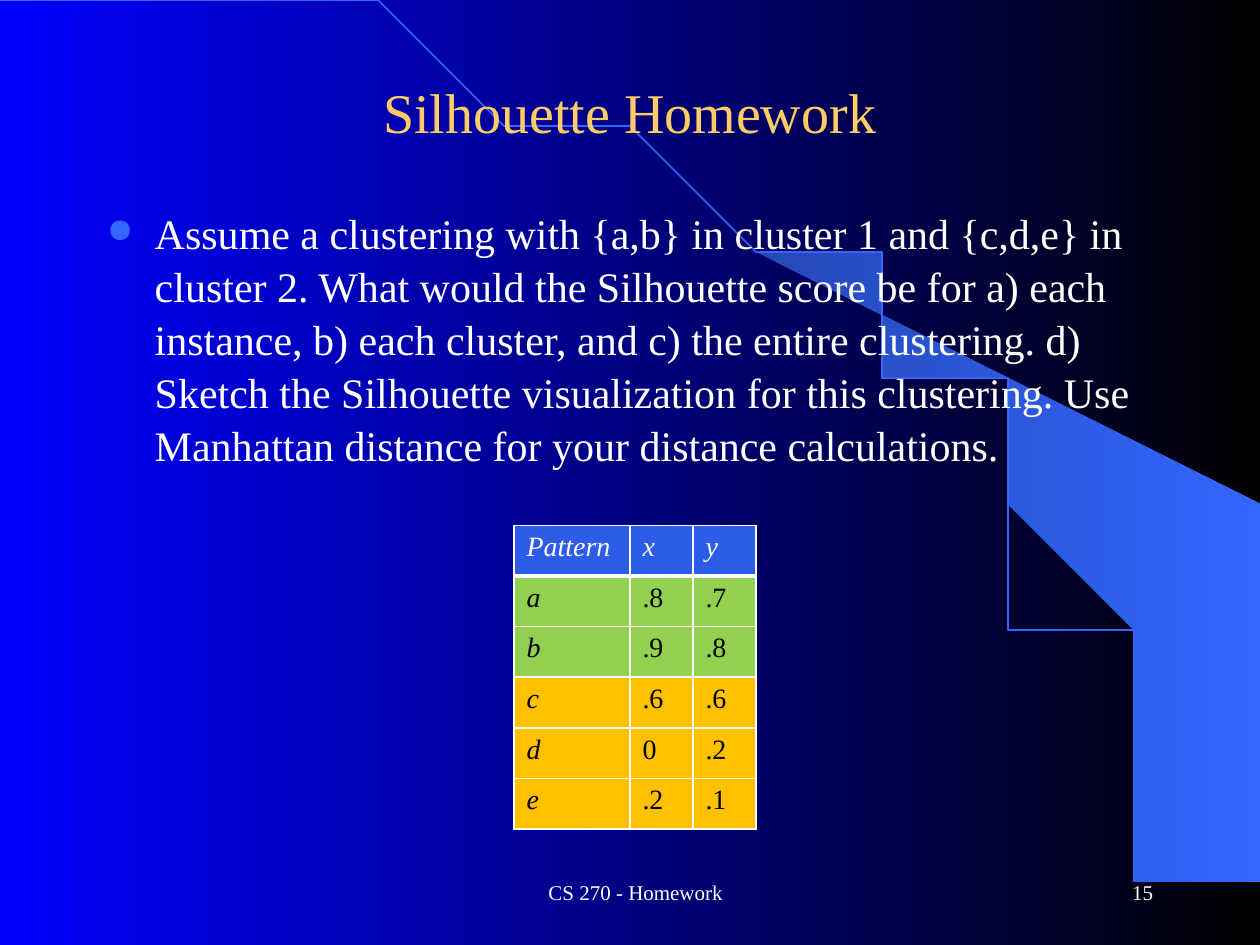
"""Build the Silhouette Homework slide."""
import math
from lxml import etree
from pptx import Presentation
from pptx.dml.color import RGBColor
from pptx.enum.text import MSO_ANCHOR, PP_ALIGN
from pptx.oxml.ns import qn
from pptx.util import Inches, Pt

LEFT, CENTER, RIGHT = PP_ALIGN.LEFT, PP_ALIGN.CENTER, PP_ALIGN.RIGHT
TOP, MIDDLE = MSO_ANCHOR.TOP, MSO_ANCHOR.MIDDLE
FONT = "Times New Roman"
WHITE, BLACK, BLUE = "FFFFFF", "000000", "3366FF"
HEADER, GREEN, AMBER = "2D5CE7", "92D050", "FFC000"


def rgb(value):
    return RGBColor.from_string(value)


def set_text(tf, text, size, color, align=LEFT, italic=False):
    p = tf.paragraphs[0]
    p.text = text
    p.alignment = align
    font = p.runs[0].font
    font.name, font.size, font.italic = FONT, Pt(size), italic
    font.color.rgb = rgb(color)
    return p


prs = Presentation()
prs.slide_width, prs.slide_height = Inches(10), Inches(7.5)
s = prs.slides.add_slide(prs.slide_layouts[6])

beam = [(9.2, 7.48), (9.99, 7.49), (9.99, 4.23), (5.89, 1.73), (6.24, 1.99),
        (6.53, 2.22), (6.85, 2.5), (7.16, 2.8), (7.62, 3.3), (8.03, 3.84),
        (8.32, 4.31), (8.58, 4.79), (8.78, 5.28), (8.93, 5.72), (9.03, 6.09),
        (9.13, 6.56), (9.17, 6.96)]
angles = [math.radians(1.5 * i) for i in range(61)]
arc = [(9.2 * math.sin(a), 7.49 * (1 - math.cos(a))) for a in angles]
outlines = []
for points, close in [(beam, True), (arc, False)]:
    fb = s.shapes.build_freeform(*points[0], scale=Inches(1))
    fb.add_line_segments(points[1:], close=close)
    sp = fb.convert_to_shape()
    sp.shadow.inherit = False
    outlines.append(sp)
beam_sp, arc_sp = outlines
beam_sp.line.fill.background()
arc_sp.fill.background()
arc_sp.line.color.rgb = rgb(BLUE)
arc_sp.line.width = Pt(1)

for fill, colors in [(s.background.fill, ("0000FF", BLACK)),
                     (beam_sp.fill, ("2449B6", BLUE))]:
    fill.gradient()
    fill.gradient_angle = 0
    for stop, color in zip(fill.gradient_stops, colors):
        stop.color.rgb = rgb(color)

body = ("Assume a clustering with {a,b} in cluster 1 and {c,d,e} in cluster 2. "
        "What would the Silhouette score be for a) each instance, b) each cluster, "
        "and c) the entire clustering. d) Sketch the Silhouette visualization for "
        "this clustering. Use Manhattan distance for your distance calculations.")
texts = [
    ("Silhouette Homework", (0.75, 0.42, 8.5, 0.92), 32, "FFCC66", CENTER, MIDDLE),
    (body, (0.75, 1.58, 8.5, 2.08), 24, WHITE, LEFT, TOP),
    ("CS 270 - Homework", (3.17, 6.83, 3.75, 0.5), 12, WHITE, CENTER, MIDDLE),
    ("15", (7.17, 6.83, 2.08, 0.5), 12, WHITE, RIGHT, MIDDLE),
]
for text, box, size, color, align, anchor in texts:
    tf = s.shapes.add_textbox(*map(Inches, box)).text_frame
    tf.word_wrap = True
    tf.vertical_anchor = anchor
    p = set_text(tf, text, size, color, align)
    if text == body:
        p.line_spacing = 1.05
        pPr = p._p.get_or_add_pPr()
        pPr.set("marL", str(Inches(0.38)))
        pPr.set("indent", str(-Inches(0.38)))
        buClr = etree.SubElement(pPr, qn("a:buClr"))
        etree.SubElement(buClr, qn("a:srgbClr"), val=BLUE)
        etree.SubElement(pPr, qn("a:buSzPct"), val="80000")
        etree.SubElement(pPr, qn("a:buChar"), char="●")

rows = [("Pattern", "x", "y"), ("a", ".8", ".7"), ("b", ".9", ".8"),
        ("c", ".6", ".6"), ("d", "0", ".2"), ("e", ".2", ".1")]
fills = [HEADER, GREEN, GREEN, AMBER, AMBER, AMBER]
table = s.shapes.add_table(len(rows), 3, Inches(4.08), Inches(4.17),
                           Inches(1.92), Inches(2.41)).table
for col, width in zip(table.columns, (0.92, 0.5, 0.5)):
    col.width = Inches(width)
for i, (row, fill) in enumerate(zip(rows, fills)):
    for j, text in enumerate(row):
        cell = table.cell(i, j)
        set_text(cell.text_frame, text, 16, BLACK if i else WHITE,
                 italic=i == 0 or j == 0)
        tcPr = cell._tc.get_or_add_tcPr()
        for side in "LRTB":
            thick = (i == 0 and side == "B") or (i == 1 and side == "T")
            ln = etree.SubElement(tcPr, qn(f"a:ln{side}"), w=str(Pt(3 if thick else 1)))
            solid = etree.SubElement(ln, qn("a:solidFill"))
            etree.SubElement(solid, qn("a:srgbClr"), val=WHITE)
        cell.fill.solid()
        cell.fill.fore_color.rgb = rgb(fill)

prs.save("out.pptx")
